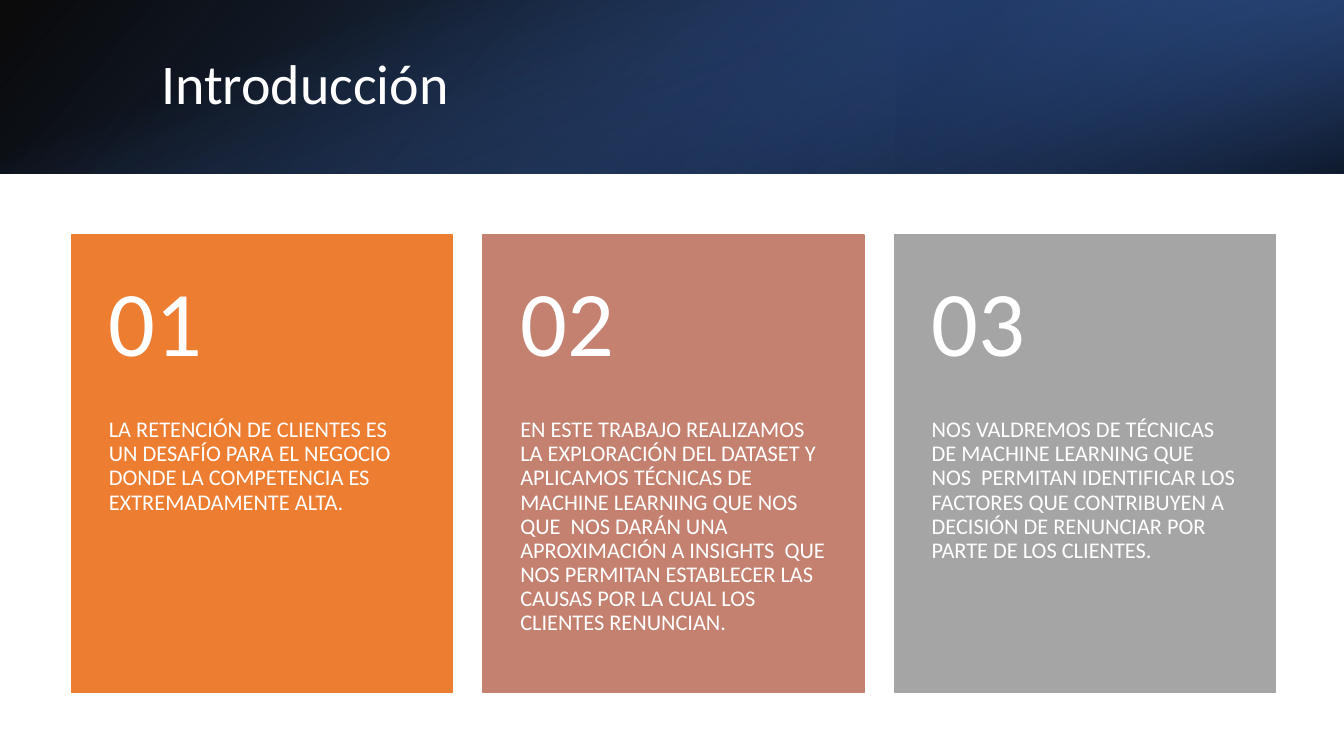
from lxml.etree import SubElement
from pptx import Presentation
from pptx.dml.color import RGBColor
from pptx.enum.shapes import MSO_SHAPE
from pptx.enum.text import MSO_ANCHOR
from pptx.oxml.ns import qn
from pptx.util import Inches, Pt

COLORS = {
    "white": "FFFFFF",
    "black": "000000",
    "navy": "203864",
    "deep_blue": "2F5597",
    "blue": "4472C4",
    "orange": "ED7D31",
    "rose": "C48170",
    "gray": "A5A5A5",
}
FONT = "Calibri"
PAGE_WIDTH, PAGE_HEIGHT = 13.33, 7.5
BANNER_HEIGHT = 1.72
CARD_LEFT, CARD_TOP, CARD_PITCH = 0.71, 2.33, 4.08
CARD_WIDTH, CARD_HEIGHT, NUMBER_HEIGHT = 3.78, 4.54, 1.82

CARDS = [
    ("orange", "LA RETENCIÓN DE CLIENTES ES UN DESAFÍO PARA EL NEGOCIO DONDE "
               "LA COMPETENCIA ES EXTREMADAMENTE ALTA."),
    ("rose", "EN ESTE TRABAJO REALIZAMOS  LA EXPLORACIÓN DEL DATASET Y  APLICAMOS "
             "TÉCNICAS DE MACHINE LEARNING QUE NOS QUE  NOS DARÁN UNA APROXIMACIÓN "
             "A INSIGHTS  QUE NOS PERMITAN ESTABLECER LAS CAUSAS POR LA CUAL LOS "
             "CLIENTES RENUNCIAN."),
    ("gray", "NOS VALDREMOS DE TÉCNICAS DE MACHINE LEARNING QUE NOS  PERMITAN "
             "IDENTIFICAR LOS FACTORES QUE CONTRIBUYEN A  DECISIÓN DE RENUNCIAR "
             "POR PARTE DE LOS CLIENTES."),
]


def color(name):
    return RGBColor.from_string(COLORS[name])


def add_rectangle(page, left, top, width, height):
    shape = page.shapes.add_shape(
        MSO_SHAPE.RECTANGLE, Inches(left), Inches(top), Inches(width), Inches(height)
    )
    shape.shadow.inherit = False
    return shape


def add_gradient(page, frame, stops, angle, rotation=0, flipped=False):
    shape = add_rectangle(page, *frame)
    shape.line.fill.background()
    shape.rotation = rotation
    if flipped:
        shape.element.spPr.find(qn("a:xfrm")).set("flipH", "1")
    shape.fill.gradient()
    shape.fill.gradient_angle = 360 - angle
    for stop, (position, name, opacity) in zip(shape.fill.gradient_stops, stops):
        stop.position = position / 100
        stop.color.rgb = color(name)
    tints = shape.element.spPr.iter(qn("a:srgbClr"))
    for tint, (position, name, opacity) in zip(tints, stops):
        SubElement(tint, qn("a:alpha")).set("val", str(opacity * 1000))


def add_text(page, frame, text, size, insets, anchor=MSO_ANCHOR.MIDDLE):
    box = page.shapes.add_textbox(*(Inches(length) for length in frame))
    text_frame = box.text_frame
    text_frame.word_wrap = True
    text_frame.vertical_anchor = anchor
    (text_frame.margin_left, text_frame.margin_top,
     text_frame.margin_right, text_frame.margin_bottom) = map(Inches, insets)
    text_frame.text = text
    para = text_frame.paragraphs[0]
    para.line_spacing = 0.9
    span = para.runs[0]
    span.font.name = FONT
    span.font.size = Pt(size)
    span.font.color.rgb = color("white")


def add_banner(page):
    add_gradient(page, (0, 0, PAGE_WIDTH, BANNER_HEIGHT),
                 [(0, "black", 96), (100, "deep_blue", 100)], 140, flipped=True)
    add_gradient(page, (PAGE_WIDTH * 2 / 3, 0, PAGE_WIDTH / 3, BANNER_HEIGHT),
                 [(19, "navy", 68), (100, "blue", 79)], 320, rotation=180, flipped=True)
    offset = (PAGE_WIDTH - BANNER_HEIGHT) / 2
    add_gradient(page, (offset, -offset, BANNER_HEIGHT, PAGE_WIDTH),
                 [(23, "blue", 0), (99, "black", 74)], 340, rotation=90)
    add_text(page, (1.5, 0.38, 10.98, 0.96), "Introducción", 40, (0.1, 0.05, 0.1, 0.05))


def add_card(page, index, fill_name, text):
    left = CARD_LEFT + index * CARD_PITCH
    card = add_rectangle(page, left, CARD_TOP, CARD_WIDTH, CARD_HEIGHT)
    card.fill.solid()
    card.fill.fore_color.rgb = color(fill_name)
    card.line.color.rgb = color(fill_name)
    card.line.width = Pt(1)
    add_text(page,
             (left, CARD_TOP + NUMBER_HEIGHT, CARD_WIDTH, CARD_HEIGHT - NUMBER_HEIGHT),
             text, 16, (0.37, 0, 0.37, 0.36), MSO_ANCHOR.TOP)
    add_text(page, (left, CARD_TOP, CARD_WIDTH, NUMBER_HEIGHT),
             f"{index + 1:02d}", 66, (0.37, 0.18, 0.37, 0.18))


def main():
    deck = Presentation()
    deck.slide_width = Inches(PAGE_WIDTH)
    deck.slide_height = Inches(PAGE_HEIGHT)
    page = deck.slides.add_slide(deck.slide_layouts[6])
    add_banner(page)
    for index, (fill_name, text) in enumerate(CARDS):
        add_card(page, index, fill_name, text)
    deck.save("out.pptx")


if __name__ == "__main__":
    main()
